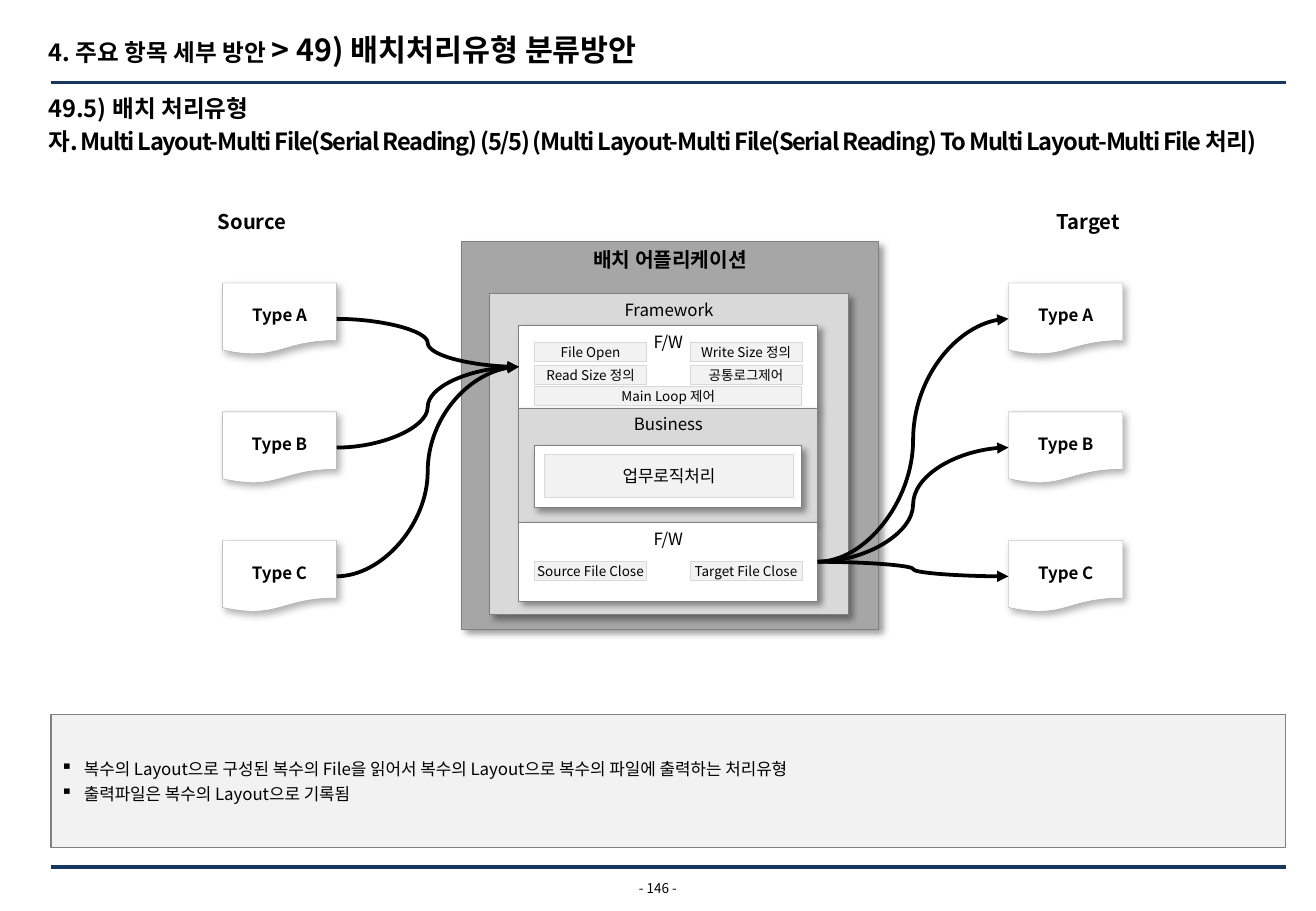
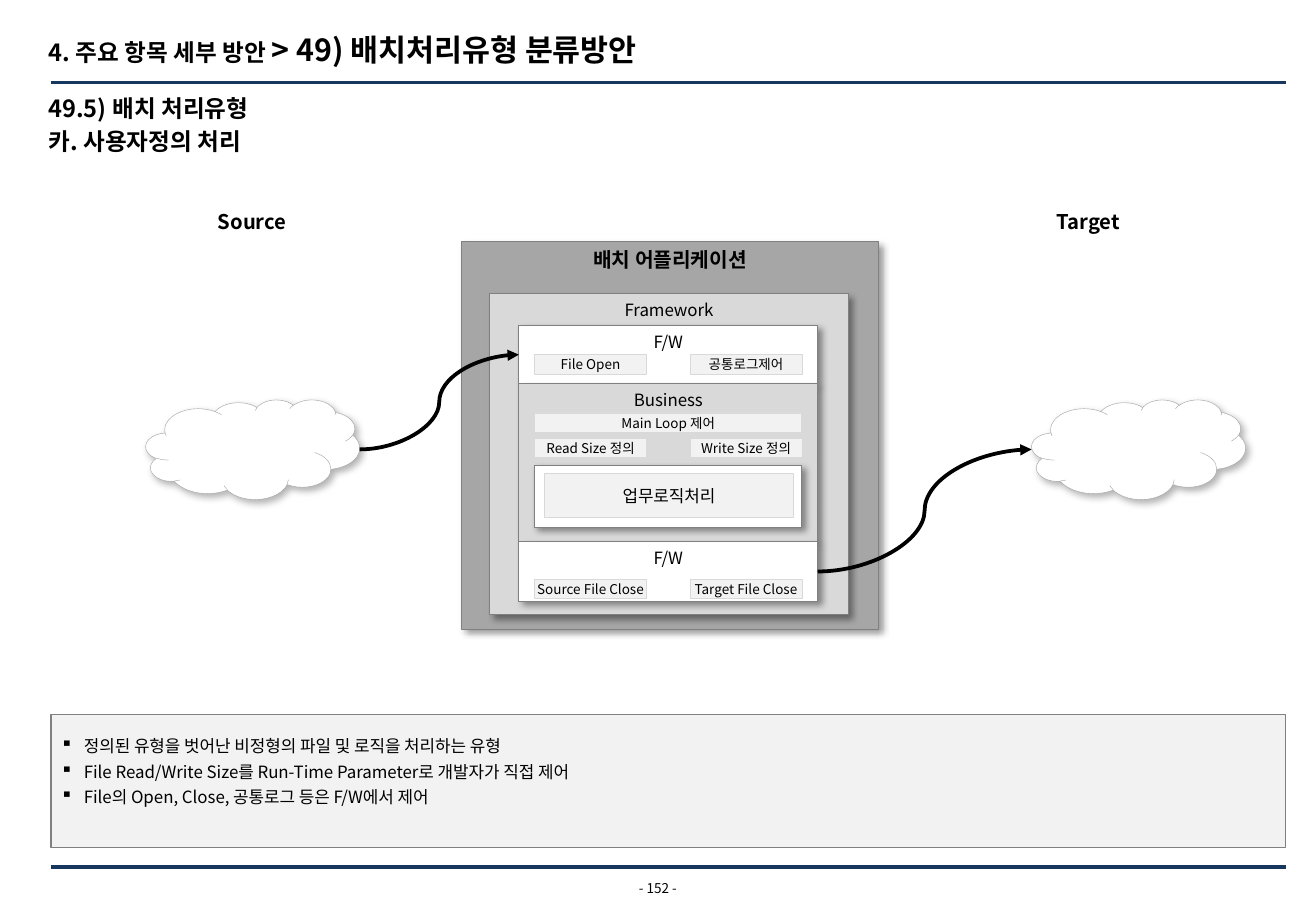
import lxml.etree
import pptx
import pptx.dml.color
import pptx.enum.shapes
import pptx.enum.text
import pptx.oxml
import pptx.oxml.ns
import pptx.util

Inches = pptx.util.Inches
Pt = pptx.util.Pt
SHAPE = pptx.enum.shapes.MSO_SHAPE
CONNECTOR = pptx.enum.shapes.MSO_CONNECTOR
ANCHOR = pptx.enum.text.MSO_ANCHOR
ALIGN = pptx.enum.text.PP_ALIGN
qn = pptx.oxml.ns.qn

FONT = "Noto Sans CJK KR"
COLORS = {
    "navy": "17375E", "black": "000000", "white": "FFFFFF", "pale": "F2F2F2",
    "light": "D9D9D9", "mid": "A6A6A6", "edge": "808080",
}
# opacity %, blur pt, distance pt, direction degrees
PANEL_SHADOW = (40, 4, 3, 45)
OBJECT_SHADOW = (30, 4.5, 2.6, 53)

MARGIN = 0.42
CONTENT_WIDTH = 10.16
NO_INSETS = {"margin_left": 0, "margin_top": 0, "margin_right": 0, "margin_bottom": 0}
NO_WRAP = {"word_wrap": False}
CENTERED = {"alignment": ALIGN.CENTER}
MIDDLE = {"vertical_anchor": ANCHOR.MIDDLE}
HEADING = {"word_wrap": True, "margin_top": Inches(0.01)}
BOLD = {"bold": True}

CHIP_HEIGHT = 0.16
# left offset inside a stage, width
CHIP_COLUMNS = {"left": (0.13, 0.92), "right": (1.41, 0.92), "both": (0.13, 2.2)}


def color(name):
    return pptx.dml.color.RGBColor.from_string(COLORS[name])


def apply(target, values):
    for attribute, value in values.items():
        setattr(target, attribute, value)


def write(shape, paragraphs, size, frame_format=(), paragraph_format=(), font_format=()):
    """Each paragraph is a string or a list of (text, size) runs."""
    frame = shape.text_frame
    apply(frame, dict(frame_format))
    for index, content in enumerate(paragraphs):
        paragraph = frame.add_paragraph() if index else frame.paragraphs[0]
        apply(paragraph, dict(paragraph_format))
        runs = [(content, size)] if isinstance(content, str) else content
        for text, run_size in runs:
            run = paragraph.add_run()
            run.text = text
            apply(run.font, {"size": Pt(run_size), "name": FONT, **dict(font_format)})
            run.font.color.rgb = color("black")
            east_asian = lxml.etree.SubElement(run._r.get_or_add_rPr(), qn("a:ea"))
            east_asian.set("typeface", FONT)
    return frame


def text_box(slide, box, *args, **kwargs):
    return write(slide.shapes.add_textbox(*map(Inches, box)), *args, **kwargs)


def block(slide, box, fill, edge, edge_width, kind=SHAPE.RECTANGLE, shadow=None):
    shape = slide.shapes.add_shape(kind, *map(Inches, box))
    shape.fill.solid()
    shape.fill.fore_color.rgb = color(fill)
    shape.line.color.rgb = color(edge)
    shape.line.width = Pt(edge_width)
    shape.shadow.inherit = False
    if shadow:
        opacity, blur, distance, direction = shadow
        effects = shape._element.spPr.find(qn("a:effectLst"))
        outer = lxml.etree.SubElement(effects, qn("a:outerShdw"), {
            "blurRad": str(Pt(blur)), "dist": str(Pt(distance)),
            "dir": str(direction * 60000), "algn": "tl", "rotWithShape": "0"})
        tint = lxml.etree.SubElement(outer, qn("a:srgbClr"), val=COLORS["black"])
        lxml.etree.SubElement(tint, qn("a:alpha"), val=str(opacity * 1000))
    return shape


def panel(slide, box, fill, title=None, size=10, bold=False):
    shape = block(slide, box, fill, "edge", 0.5, shadow=PANEL_SHADOW)
    if title:
        write(shape, [title], size, {**NO_WRAP, "vertical_anchor": ANCHOR.TOP},
              CENTERED, {"bold": bold})
    return shape


def chip(slide, box, label, size=8):
    write(block(slide, box, "pale", "light", 0.5), [label], size,
          {**NO_INSETS, **NO_WRAP, **MIDDLE}, CENTERED)


def line(slide, kind, points, line_color):
    connector = slide.shapes.add_connector(kind, *points)
    connector.line.color.rgb = color(line_color)
    connector.line.width = Pt(2.25)
    lxml.etree.SubElement(connector._element.spPr, qn("a:effectLst"))
    return connector


def flow(slide, source, target):
    """Curved arrow from the right side of source to the left side of target."""
    arrow = line(slide, CONNECTOR.CURVE,
                 (source.left + source.width, source.top + source.height // 2,
                  target.left, target.top + target.height // 2), "black")
    lxml.etree.SubElement(arrow.line._get_or_add_ln(), qn("a:tailEnd"), type="triangle")
    # A cloud numbers its connection sites differently from a rectangle.
    if source.auto_shape_type != SHAPE.CLOUD:
        arrow.begin_connect(source, 3)
    if target.auto_shape_type != SHAPE.CLOUD:
        arrow.end_connect(target, 1)


def page_frame(slide, page):
    for top in (0.68, 7.14):
        ends = (MARGIN, top, MARGIN + CONTENT_WIDTH, top)
        line(slide, CONNECTOR.STRAIGHT, map(Inches, ends), "navy")
    text_box(slide, (5.08, 7.25, 0.67, 0.13), [f"- {page} -"], 8,
             {**NO_INSETS, **MIDDLE, **NO_WRAP}, CENTERED)


def headings(slide, topic, tracking):
    text_box(slide, (0.3, 0.25, 10.28, 0.36),
             [[("4. 주요 항목 세부 방안 ", 14), ("> 49) 배치처리유형 분류방안", 18)]],
             14, HEADING, font_format=BOLD)
    frame = text_box(slide, (0.3, 0.76, 10.28, 0.63), ["49.5) 배치 처리유형", topic],
                     14, HEADING, font_format=BOLD)
    topic_line = frame.paragraphs[1]
    topic_line.space_before = Pt(3)
    if tracking:
        topic_line.runs[0]._r.get_or_add_rPr().set("spc", str(round(tracking * 100)))
    for left, label in ((0.94, "Source"), (7.82, "Target")):
        text_box(slide, (left, 1.67, 2.27, 0.3), [label], 12,
                 {"word_wrap": True}, CENTERED, BOLD)


def notes_panel(slide, box, notes, bottom_inset):
    frame = write(block(slide, box, "pale", "edge", 0.75), notes, 10,
                  {**NO_INSETS, **MIDDLE, "word_wrap": True, "margin_left": Inches(0.08),
                   "margin_right": Inches(0.04), "margin_bottom": Inches(bottom_inset)},
                  {"alignment": ALIGN.LEFT})
    for index, paragraph in enumerate(frame.paragraphs):
        properties = paragraph._p.get_or_add_pPr()
        properties.set("marL", str(Inches(0.19)))
        properties.set("indent", str(-Inches(0.19)))
        lxml.etree.SubElement(properties, qn("a:buChar"), char="▪")
        if index:
            paragraph.space_before = Pt(3)


def application(slide, left, top, stages):
    """Draw the nested application and return its first and last stage."""
    panel(slide, (left, top, 3.43, 3.19), "mid", "배치 어플리케이션", 12, True)
    panel(slide, (left + 0.23, top + 0.43, 2.95, 2.64), "light", "Framework")
    stage_left, stage_top = left + 0.47, top + 0.69
    drawn, tops = [], []
    for stage in stages:
        drawn.append(panel(slide, (stage_left, stage_top, 2.46, stage["height"]),
                           stage["fill"], stage["title"]))
        tops.append(stage_top)
        stage_top += stage["height"]
    for stage, stage_top in zip(stages, tops):
        for column, offset, label in stage["chips"]:
            chip_left, width = CHIP_COLUMNS[column]
            chip(slide, (stage_left + chip_left, stage_top + offset, width, CHIP_HEIGHT), label)
        if "logic" in stage:
            logic_left, logic_top = stage_left + 0.13, stage_top + stage["logic"]
            panel(slide, (logic_left, logic_top, 2.2, 0.51), "white")
            chip(slide, (logic_left + 0.08, logic_top + 0.07, 2.05, 0.36), "업무로직처리", 10)
    return drawn[0], drawn[-1]


def documents(slide, left, top):
    files = []
    for row, letter in enumerate("ABC"):
        document = block(slide, (left, top + row * 1.06, 0.94, 0.59), "white", "mid", 0.25,
                         SHAPE.FLOWCHART_DOCUMENT, OBJECT_SHADOW)
        write(document, [f"Type {letter}"], 10,
              {**NO_WRAP, **MIDDLE, "margin_bottom": 0}, CENTERED, BOLD)
        files.append(document)
    return files


def cloud(slide, left, top):
    return [block(slide, (left, top, 1.76, 0.82), "white", "mid", 0.25,
                  SHAPE.CLOUD, OBJECT_SHADOW)]


def stage(title, height, chips, **extra):
    fill = "light" if title == "Business" else "white"
    return {"title": title, "height": height, "fill": fill, "chips": chips, **extra}


def closing_stage(height, offset):
    return stage("F/W", height, [("left", offset, "Source File Close"),
                                 ("right", offset, "Target File Close")])


PAGES = [
    {
        "page": 146,
        "topic": "자. Multi Layout-Multi File(Serial Reading) (5/5) "
                 "(Multi Layout-Multi File(Serial Reading) To Multi Layout-Multi File 처리)",
        "tracking": -0.8,
        "ends": documents, "ends_top": 2.33, "source_left": 1.83, "target_left": 8.3,
        "stages": [
            stage("F/W", 0.68, [
                ("left", 0.14, "File Open"), ("right", 0.14, "Write Size 정의"),
                ("left", 0.33, "Read Size 정의"), ("right", 0.33, "공통로그제어"),
                ("both", 0.5, "Main Loop 제어")]),
            stage("Business", 0.94, [], logic=0.31),
            closing_stage(0.65, 0.32),
        ],
        "notes": ["복수의 Layout으로 구성된 복수의 File을 읽어서 복수의 Layout으로 "
                  "복수의 파일에 출력하는 처리유형",
                  "출력파일은 복수의 Layout으로 기록됨"],
        "notes_inset": 0,
    },
    {
        "page": 152,
        "topic": "카. 사용자정의 처리",
        "tracking": 0,
        "ends": cloud, "ends_top": 3.29, "source_left": 1.2, "target_left": 8.49,
        "stages": [
            stage("F/W", 0.48, [("left", 0.24, "File Open"), ("right", 0.24, "공통로그제어")]),
            stage("Business", 1.3, [
                ("both", 0.24, "Main Loop 제어"),
                ("left", 0.45, "Read Size 정의"), ("right", 0.45, "Write Size 정의")],
                logic=0.67),
            closing_stage(0.49, 0.31),
        ],
        "notes": ["정의된 유형을 벗어난 비정형의 파일 및 로직을 처리하는 유형",
                  "File Read/Write Size를 Run-Time Parameter로 개발자가 직접 제어",
                  "File의 Open, Close, 공통로그 등은 F/W에서 제어"],
        "notes_inset": 0.16,
    },
]


def batch_slide(presentation, page):
    slide = presentation.slides.add_slide(presentation.slide_layouts[6])
    page_frame(slide, page["page"])
    headings(slide, page["topic"], page["tracking"])
    notes_panel(slide, (MARGIN, 5.88, CONTENT_WIDTH, 1.1), page["notes"], page["notes_inset"])
    first_stage, last_stage = application(slide, 3.8, 1.99, page["stages"])
    for source in page["ends"](slide, page["source_left"], page["ends_top"]):
        flow(slide, source, first_stage)
    for target in page["ends"](slide, page["target_left"], page["ends_top"]):
        flow(slide, last_stage, target)


def main():
    presentation = pptx.Presentation()
    presentation.slide_width = Inches(10.83)
    presentation.slide_height = Inches(7.5)
    for page in PAGES:
        batch_slide(presentation, page)
    presentation.save("out.pptx")


if __name__ == "__main__":
    main()
